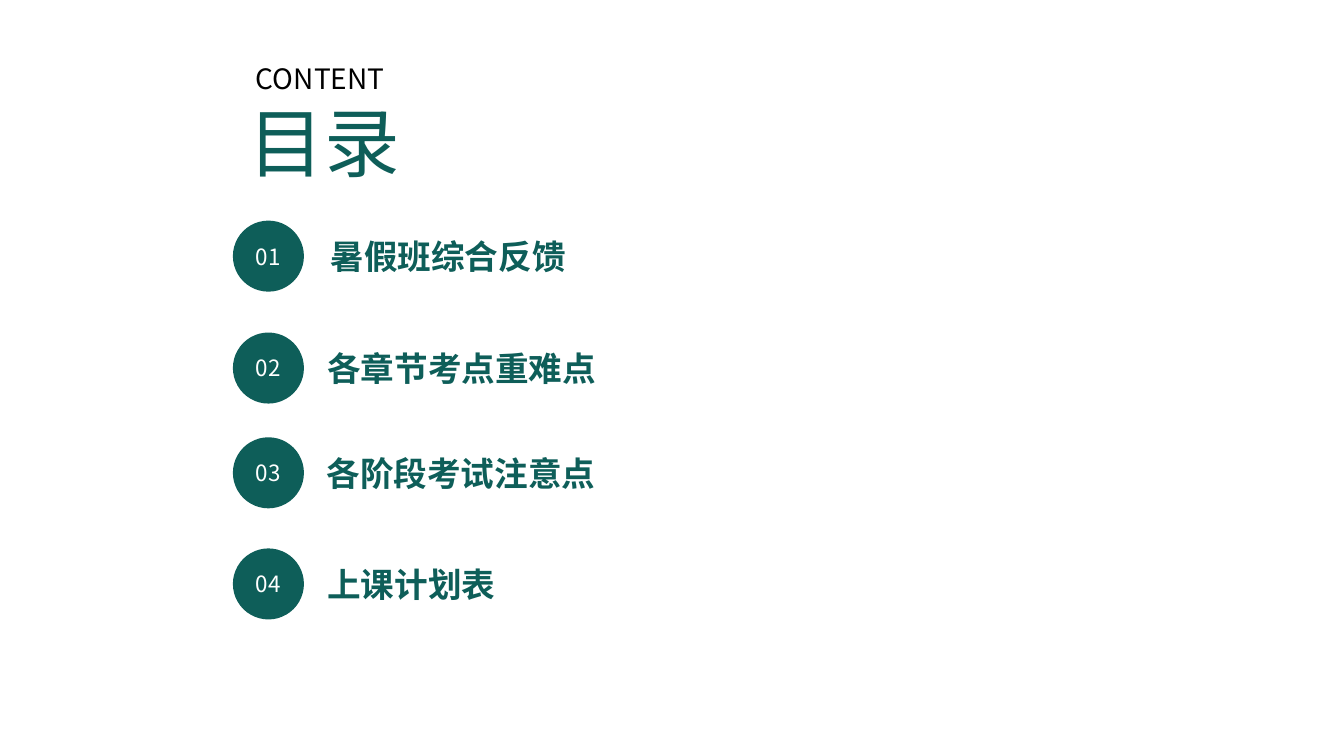
from lxml.etree import SubElement
from pptx import Presentation
from pptx.dml.color import RGBColor
from pptx.enum.shapes import MSO_SHAPE
from pptx.enum.text import MSO_ANCHOR, MSO_AUTO_SIZE, PP_ALIGN
from pptx.oxml.ns import qn
from pptx.util import Cm, Pt

COLORS = {"green": "0E5E59", "black": "000000", "white": "FFFFFF"}
FONT = "Noto Sans CJK SC"


def write(box, text, size, color="green", bold=False, align=PP_ALIGN.LEFT):
    para = box.text_frame.paragraphs[0]
    para.alignment = align
    span = para.add_run()
    span.text = text
    span.font.size = Pt(size)
    span.font.bold = bold
    span.font.name = FONT
    span.font.color.rgb = RGBColor.from_string(COLORS[color])
    SubElement(span.font._element, qn("a:ea")).set("typeface", FONT)


deck = Presentation()
deck.slide_width = Cm(33.87)
deck.slide_height = Cm(19.05)
page = deck.slides.add_slide(deck.slide_layouts[6])

texts = [
    ("目录", 6.02, 2.29, 6.27, 2.57, dict(size=54, align=PP_ALIGN.JUSTIFY)),
    ("CONTENT", 6.2, 1.42, 5.94, 1.12, dict(size=20, color="black", align=PP_ALIGN.JUSTIFY)),
]

entries = [
    ("暑假班综合反馈", 8.08, 5.56, 7.54, PP_ALIGN.JUSTIFY),
    ("各章节考点重难点", 8.0, 8.38, 8.15, PP_ALIGN.JUSTIFY),
    ("各阶段考试注意点", 7.98, 11.02, 8.15, PP_ALIGN.JUSTIFY),
    ("上课计划表", 8.0, 13.82, 8.15, PP_ALIGN.LEFT),
]
for number, (heading, left, top, width, align) in enumerate(entries, 1):
    badge = page.shapes.add_shape(MSO_SHAPE.OVAL, Cm(5.87), Cm(top), Cm(1.79), Cm(1.79))
    badge.shadow.inherit = False
    badge.fill.solid()
    badge.fill.fore_color.rgb = RGBColor.from_string(COLORS["green"])
    badge.line.fill.background()
    badge.text_frame.vertical_anchor = MSO_ANCHOR.MIDDLE
    write(badge, f"{number:02}", 16, color="white", align=PP_ALIGN.CENTER)
    texts.append((heading, left, top + 0.26, width, 1.27, dict(size=24, bold=True, align=align)))

for text, left, top, width, height, style in texts:
    box = page.shapes.add_textbox(Cm(left), Cm(top), Cm(width), Cm(height))
    box.text_frame.word_wrap = True
    box.text_frame.auto_size = MSO_AUTO_SIZE.SHAPE_TO_FIT_TEXT
    write(box, text, **style)

deck.save("out.pptx")
